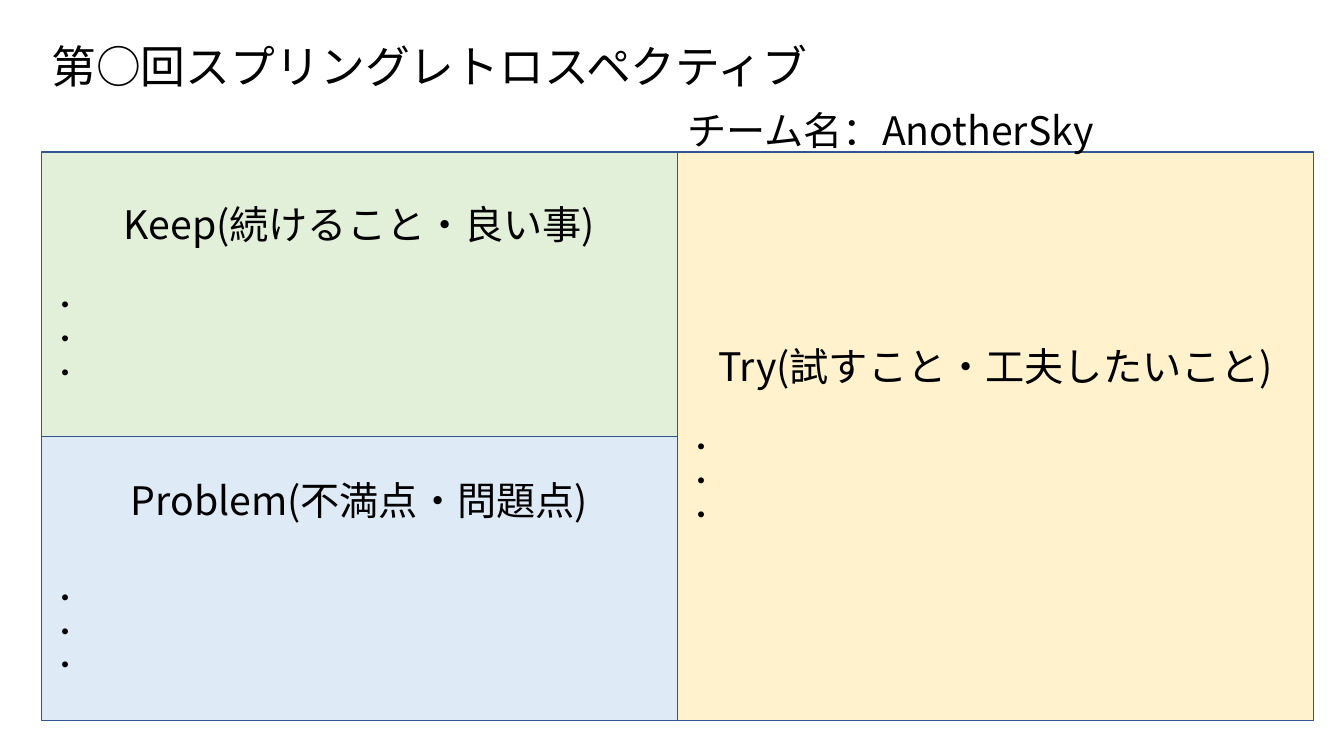
"""Build a Keep / Problem / Try sprint retrospective board."""
from lxml.etree import SubElement
from pptx import Presentation
from pptx.dml.color import RGBColor
from pptx.enum.shapes import MSO_SHAPE
from pptx.enum.text import MSO_ANCHOR, PP_ALIGN
from pptx.oxml.ns import qn
from pptx.util import Inches, Pt

TITLE = "第○回スプリングレトロスペクティブ"
TEAM = "チーム名：AnotherSky"
ITEMS = ["・"] * 3
PANELS = [
    {"head": "Try(試すこと・工夫したいこと)", "fill": "try", "col": 1, "row": 0, "rows": 2, "gap": 29},
    {"head": "Keep(続けること・良い事)", "fill": "keep", "col": 0, "row": 0, "rows": 1, "gap": 29},
    {"head": "Problem(不満点・問題点)", "fill": "prob", "col": 0, "row": 1, "rows": 1, "gap": 41},
]
THEME = {
    "font": "Noto Sans CJK JP", "ink": "000000", "line": "325491",
    "try": "FFF2CC", "keep": "E2F0D9", "prob": "DEEBF7",
    "title": 32, "head": 28, "item": 20,
}
WIDE, HIGH = 13.33, 7.5
LEFT, TOP, COL, ROW = 0.41, 1.51, 6.31, 2.82


def color(name):
    return RGBColor.from_string(THEME[name])


def write(para, text, size):
    run = para.add_run()
    run.text = text
    run.font.size = Pt(THEME[size])
    run.font.color.rgb = color("ink")
    run.font.name = THEME["font"]
    SubElement(run._r.get_or_add_rPr(), qn("a:ea")).set("typeface", THEME["font"])


def label(slide, area, text, size, anchor):
    frame = slide.shapes.add_textbox(*map(Inches, area)).text_frame
    frame.word_wrap = True
    frame.vertical_anchor = anchor
    para = frame.paragraphs[0]
    write(para, text, size)
    return para


def panel(slide, part):
    area = (LEFT + part["col"] * COL, TOP + part["row"] * ROW, COL, part["rows"] * ROW)
    box = slide.shapes.add_shape(MSO_SHAPE.RECTANGLE, *map(Inches, area))
    box.shadow.inherit = False
    box.fill.solid()
    box.fill.fore_color.rgb = color(part["fill"])
    box.line.color.rgb = color("line")
    box.line.width = Pt(1)
    frame = box.text_frame
    frame.word_wrap = True
    frame.vertical_anchor = MSO_ANCHOR.MIDDLE
    head = frame.paragraphs[0]
    head.alignment = PP_ALIGN.CENTER
    head.space_after = Pt(part["gap"])
    write(head, part["head"], "head")
    for item in ITEMS:
        para = frame.add_paragraph()
        para.alignment = PP_ALIGN.LEFT
        write(para, item, "item")


deck = Presentation()
deck.slide_width, deck.slide_height = Inches(WIDE), Inches(HIGH)
slide = deck.slides.add_slide(deck.slide_layouts[6])
title = label(slide, (LEFT, 0.27, 12.48, 0.82), TITLE, "title", MSO_ANCHOR.MIDDLE)
title.line_spacing = 0.9
for part in PANELS:
    panel(slide, part)
label(slide, (LEFT + COL, 1.01, COL, 0.57), TEAM, "head", MSO_ANCHOR.TOP)
deck.save("out.pptx")
